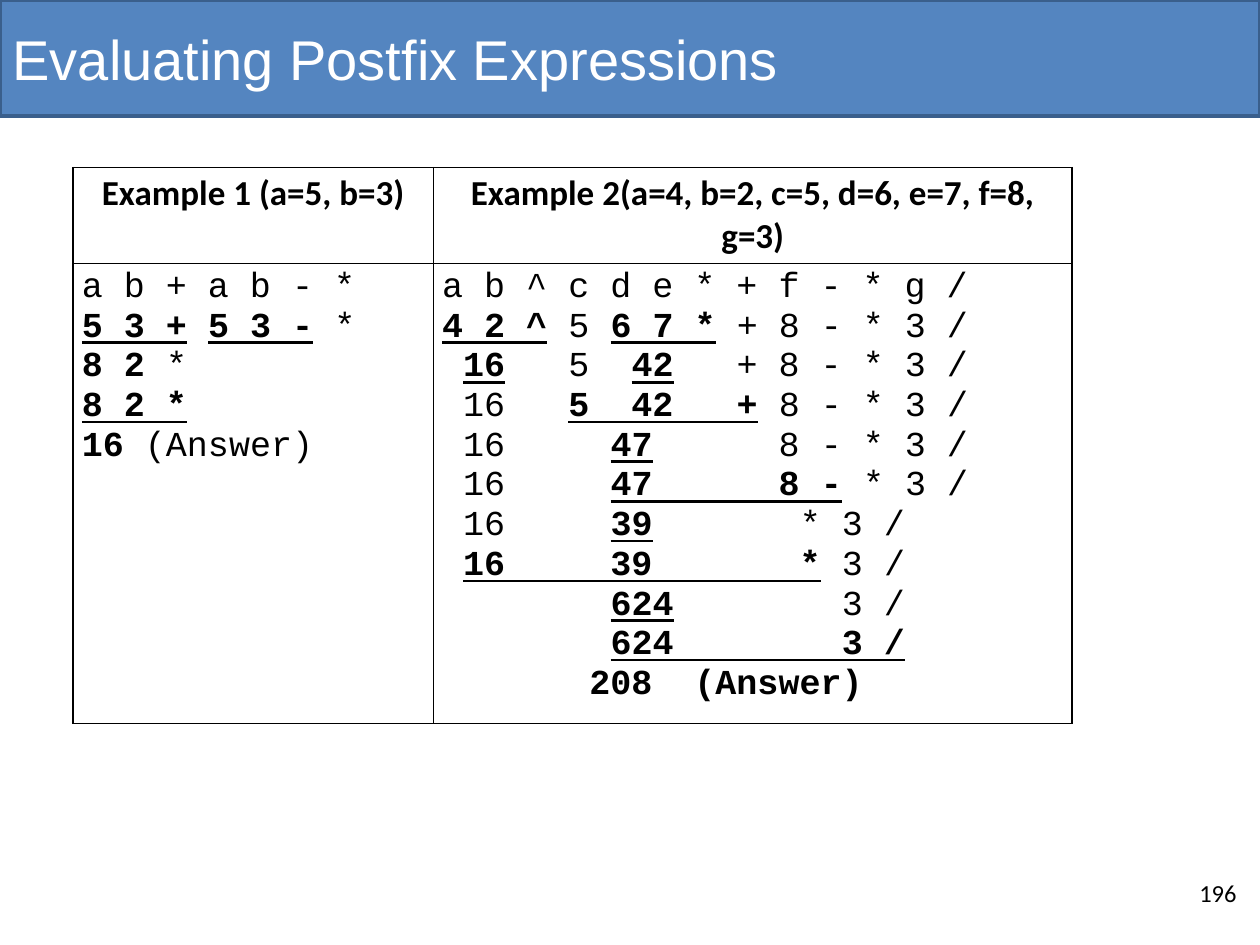
"""Build a slide that evaluates two postfix expressions step by step."""
from dataclasses import dataclass

from lxml.etree import SubElement
from pptx import Presentation
from pptx.dml.color import RGBColor
from pptx.enum.shapes import MSO_SHAPE
from pptx.enum.text import MSO_ANCHOR, PP_ALIGN
from pptx.oxml.ns import qn
from pptx.table import _Cell
from pptx.text.text import TextFrame
from pptx.util import Inches, Pt

WIDE, HIGH = 10, 7.5
HUE = {"band": "5485C0", "edge": "3A5F8C", "ink": "000000", "page": "FFFFFF"}


@dataclass
class Box:
    """A frame given as percentages of the slide's width and height."""
    left: float
    top: float
    width: float
    height: float

    def frame(self) -> list:
        """Return the frame as lengths."""
        return [Inches(share * side / 100) for share, side in zip(
            (self.left, self.top, self.width, self.height), (WIDE, HIGH) * 2)]


@dataclass
class Example:
    """One column of the table; |x| is bold underlined, ~x~ is bold."""
    head: str
    width: float
    steps: list[str]


BAND = Box(0, 0, 100, 12.27)
GRID = Box(5.8, 17.73, 79.3, 58.8)
PAGE = Box(94.2, 92.27, 5, 5.33)
ROWS = (0.76, 3.65)
EXAMPLES = [
    Example("Example 1 (a=5, b=3)", 2.86, [
        "a b + a b - *",
        "|5 3 +| |5 3 -| *",
        "~8 2~ *",
        "|8 2 *|",
        "~16~ (Answer)",
    ]),
    Example("Example 2(a=4, b=2, c=5, d=6, e=7, f=8, g=3)", 5.07, [
        "a b ^ c d e * + f - * g /",
        "|4 2 ^| 5 |6 7 *| + 8 - * 3 /",
        " |16|   5  |42|   + 8 - * 3 /",
        " 16   |5  42   +| 8 - * 3 /",
        " 16     |47|      8 - * 3 /",
        " 16     |47      8 -| * 3 /",
        " 16     |39|       * 3 /",
        " |16     39       *| 3 /",
        "        |624|        3 /",
        "        |624        3 /|",
        "~       208  (Answer)~",
    ]),
]


def color(name: str) -> RGBColor:
    """Look up a named colour."""
    return RGBColor.from_string(HUE[name])


def write(frame: TextFrame, lines: list[str], font: str = "Calibri",
          size: int = 20, hue: str = "ink", bold: bool = False,
          align: PP_ALIGN = PP_ALIGN.LEFT) -> None:
    """Write marked-up lines, one paragraph each."""
    frame.word_wrap = True
    for row, line in enumerate(lines):
        para = frame.add_paragraph() if row else frame.paragraphs[0]
        para.alignment = align
        for i, part in enumerate(line.split("|")):
            for j, text in enumerate(part.split("~")):
                if not text:
                    continue
                run = para.add_run()
                run.text = text
                look = run.font
                look.name, look.size = font, Pt(size)
                look.color.rgb = color(hue)
                look.bold = bold or i % 2 == 1 or j % 2 == 1
                look.underline = i % 2 == 1


def style(cell: _Cell) -> None:
    """Set the borders, fill and margins of a cell."""
    props = cell._tc.get_or_add_tcPr()
    for side in "LRTB":
        line = SubElement(props, qn(f"a:ln{side}"), w=str(Pt(1)))
        fill = SubElement(line, qn("a:solidFill"))
        SubElement(fill, qn("a:srgbClr"), val=HUE["ink"])
    cell.fill.solid()
    cell.fill.fore_color.rgb = color("page")
    cell.margin_left = cell.margin_right = Inches(0.07)
    cell.margin_top = cell.margin_bottom = Inches(0.04)


def main() -> None:
    """Draw the slide and save it."""
    deck = Presentation()
    deck.slide_width, deck.slide_height = Inches(WIDE), Inches(HIGH)
    slide = deck.slides.add_slide(deck.slide_layouts[5])
    shapes = slide.shapes

    title = shapes.title
    title.left, title.top, title.width, title.height = BAND.frame()
    title.text_frame.vertical_anchor = MSO_ANCHOR.MIDDLE
    write(title.text_frame, ["Evaluating Postfix Expressions"],
          font="Arial", size=32, hue="page")

    band = shapes.add_shape(MSO_SHAPE.RECTANGLE, *BAND.frame())
    band.shadow.inherit = False
    band.fill.solid()
    band.fill.fore_color.rgb = color("band")
    band.line.color.rgb = color("edge")
    band.line.width = Pt(2)
    title.element.addprevious(band.element)

    table = shapes.add_table(len(ROWS), len(EXAMPLES), *GRID.frame()).table
    table.first_row = table.horz_banding = False
    for row, high in zip(table.rows, ROWS):
        row.height = Inches(high)
    for col, item in enumerate(EXAMPLES):
        table.columns[col].width = Inches(item.width)
        head, body = table.cell(0, col), table.cell(1, col)
        style(head)
        style(body)
        write(head.text_frame, [item.head], bold=True, align=PP_ALIGN.CENTER)
        write(body.text_frame, item.steps, font="Courier New")

    page = shapes.add_textbox(*PAGE.frame())
    write(page.text_frame, ["196"], size=14)
    deck.save("out.pptx")


if __name__ == "__main__":
    main()
